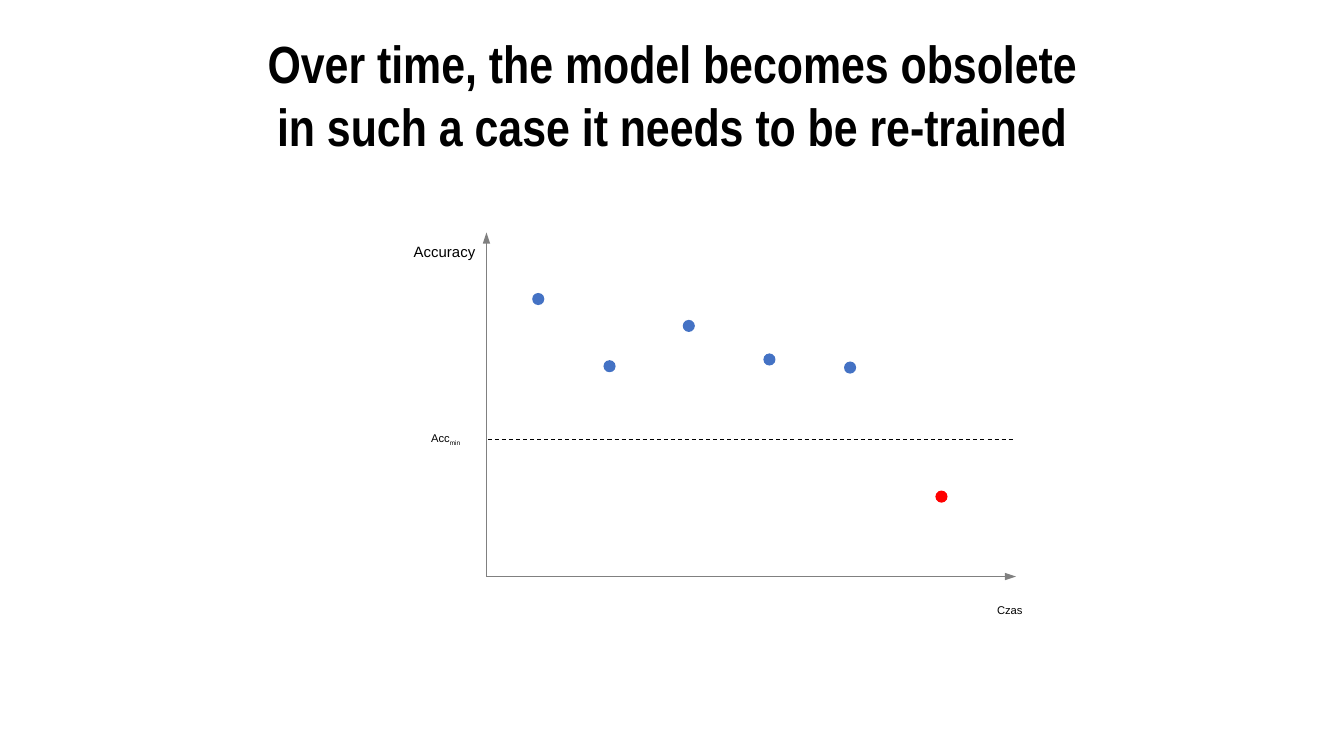
from lxml import etree
from pptx import Presentation
from pptx.dml.color import RGBColor
from pptx.enum.dml import MSO_LINE
from pptx.enum.shapes import MSO_CONNECTOR, MSO_SHAPE
from pptx.enum.text import MSO_ANCHOR, MSO_AUTO_SIZE, PP_ALIGN
from pptx.oxml.ns import qn
from pptx.util import Inches, Pt

STRAIGHT = MSO_CONNECTOR.STRAIGHT
OVAL = MSO_SHAPE.OVAL
DASH = MSO_LINE.DASH
MIDDLE = MSO_ANCHOR.MIDDLE
CENTER = PP_ALIGN.CENTER
FIT_TEXT = MSO_AUTO_SIZE.SHAPE_TO_FIT_TEXT

BLACK, GRAY, BLUE, RED = "000000", "808080", "4472C4", "FF0000"
DOT_SIZE = 0.09
# Offsets of each measurement from the top left corner of the plot
GOOD_DOTS = [(0.34, 0.45), (0.87, 0.95), (1.46, 0.65), (2.06, 0.90), (2.66, 0.96)]
BAD_DOT = (3.34, 1.92)
THRESHOLD = 1.54


def color(hex_string):
    return RGBColor.from_string(hex_string)


def style_span(span, size, font="Arial", bold=False):
    span.font.name = font
    span.font.size = Pt(size)
    span.font.bold = bold
    span.font.color.rgb = color(BLACK)


def add_title(page, left, top, width, height):
    box = page.shapes.add_textbox(Inches(left), Inches(top), Inches(width), Inches(height))
    frame = box.text_frame
    frame.word_wrap = True
    frame.vertical_anchor = MIDDLE
    para = frame.paragraphs[0]
    para.text = "Over time, the model becomes obsolete\vin such a case it needs to be re-trained"
    para.alignment = CENTER
    for span in para.runs:
        style_span(span, 28, "Arial Narrow", True)


def add_label(page, left, top, width, height, text, size, subscript=""):
    box = page.shapes.add_textbox(Inches(left), Inches(top), Inches(width), Inches(height))
    frame = box.text_frame
    frame.word_wrap = False
    frame.auto_size = FIT_TEXT
    para = frame.paragraphs[0]
    para.text = text
    if subscript:
        span = para.add_run()
        span.text = subscript
        span._r.get_or_add_rPr().set("baseline", "-25000")
    for span in para.runs:
        style_span(span, size)


def add_line(page, start, end, hex_string, width, arrow=False):
    points = [Inches(value) for value in (*start, *end)]
    line = page.shapes.add_connector(STRAIGHT, *points)
    line.line.color.rgb = color(hex_string)
    line.line.width = Pt(width)
    if arrow:
        outline = line.line._get_or_add_ln()
        etree.SubElement(outline, qn("a:tailEnd"), type="triangle", w="sm")
    etree.SubElement(line._element.spPr, qn("a:effectLst"))
    return line


def add_dot(page, left, top, hex_string):
    dot = page.shapes.add_shape(
        OVAL, Inches(left), Inches(top), Inches(DOT_SIZE), Inches(DOT_SIZE))
    dot.shadow.inherit = False
    dot.fill.solid()
    dot.fill.fore_color.rgb = color(hex_string)
    dot.line.fill.background()


def add_accuracy_plot(page, left, top, width, height):
    right, bottom = left + width, top + height
    add_line(page, (left, bottom), (left, top), GRAY, 0.75, arrow=True)
    add_line(page, (left, bottom), (right, bottom), GRAY, 0.75, arrow=True)
    add_label(page, left - 0.64, top + 0.03, 0.66, 0.24, "Accuracy", 8)

    for x, y in GOOD_DOTS:
        add_dot(page, left + x, top + y, BLUE)
    add_dot(page, left + BAD_DOT[0], top + BAD_DOT[1], RED)

    level = top + THRESHOLD
    minimum = add_line(page, (left + 0.01, level), (right - 0.02, level), BLACK, 0.55)
    minimum.line.dash_style = DASH
    add_label(page, left - 0.51, level - 0.11, 0.43, 0.2, "Acc", 6, "min")
    add_label(page, right - 0.24, bottom + 0.15, 0.39, 0.2, "Czas", 6)


def main():
    deck = Presentation()
    deck.slide_width = Inches(10)
    deck.slide_height = deck.slide_width * 9 // 16
    page = deck.slides.add_slide(deck.slide_layouts[6])
    add_title(page, 0.5, 0.23, 9, 0.94)
    add_accuracy_plot(page, 3.62, 1.73, 3.94, 2.56)
    deck.save("out.pptx")


if __name__ == "__main__":
    main()
